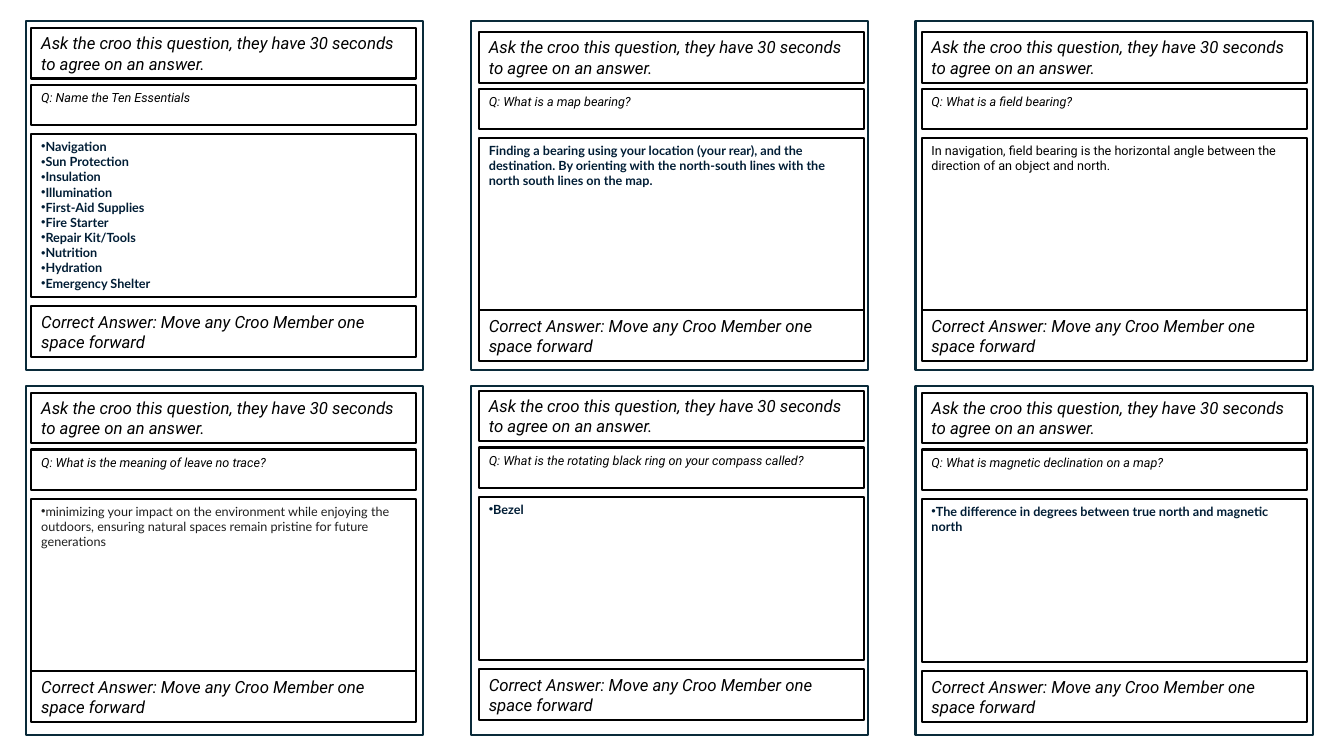
from pptx import Presentation
from pptx.dml.color import RGBColor
from pptx.enum.shapes import MSO_SHAPE
from pptx.enum.text import MSO_ANCHOR, PP_ALIGN
from pptx.oxml.ns import qn
from pptx.util import Inches, Pt
from lxml import etree

RECT = MSO_SHAPE.RECTANGLE
TOP = MSO_ANCHOR.TOP
LEFT = PP_ALIGN.LEFT

BLACK, WHITE, TEAL, NAVY, CHARCOAL = "000000", "FFFFFF", "092A39", "001D35", "1F1F1F"
PROMPT = "Ask the croo this question, they have 30 seconds to agree on an answer."
REWARD = "Correct Answer: Move any Croo Member one space forward"
ITALIC = {"font": "Roboto", "color": BLACK, "italic": True}
BOLD = {"font": "Lato", "color": NAVY, "bold": True}
PLAIN = {"font": "Roboto", "color": BLACK}
SOFT = {"font": "Lato", "color": CHARCOAL}

FRAME_LEFT, FRAME_TOP = 0.26, 0.21
COLUMN_STEP, ROW_STEP = 4.41, 3.62
CONTENT_LEFTS = [0.31, 4.75, 9.14]
SHORT, TALL = 1.62, 1.77

ESSENTIALS = ["Navigation", "Sun Protection", "Insulation", "Illumination",
              "First-Aid Supplies", "Fire Starter", "Repair Kit/Tools",
              "Nutrition", "Hydration", "Emergency Shelter"]
MAP_BEARING = ("Finding a bearing using your location (your rear), and the destination. "
               "By orienting with the north-south lines with the north south lines on the map.")
FIELD_BEARING = ("In navigation, field bearing is the horizontal angle between "
                 "the direction of an object and north.")
NO_TRACE = ("minimizing your impact on the environment while enjoying the outdoors, "
            "ensuring natural spaces remain pristine for future generations")
DECLINATION = "The difference in degrees between true north and magnetic north"

CARDS = [
    (0.28, "Q: Name the Ten Essentials", ESSENTIALS, BOLD, True, SHORT),
    (0.32, "Q: What is a map bearing?", [MAP_BEARING], BOLD, False, TALL),
    (0.32, "Q: What is a field bearing?", [FIELD_BEARING], PLAIN, False, TALL),
    (3.9, "Q: What is the meaning of leave no trace?", [NO_TRACE], SOFT, True, TALL),
    (3.88, "Q: What is the rotating black ring on your compass called?",
     ["Bezel"], BOLD, True, SHORT),
    (3.9, "Q: What is magnetic declination on a map?", [DECLINATION], BOLD, True, SHORT),
]


def rgb(value):
    return RGBColor.from_string(value)


class CardSheet:
    def __init__(self, slide):
        self.slide = slide

    def rect(self, shapes, x, y, w, h, line):
        sp = shapes.add_shape(RECT, Inches(x), Inches(y), Inches(w), Inches(h))
        sp.shadow.inherit = False
        sp.line.color.rgb = rgb(line)
        sp.line.width = Pt(1.5)
        return sp

    def frame(self, column, row):
        sp = self.rect(self.slide.shapes, FRAME_LEFT + column * COLUMN_STEP,
                       FRAME_TOP + row * ROW_STEP, 3.94, 3.46, TEAL)
        sp.fill.background()

    def box(self, group, x, y, h, lines, size, style, bullet=False):
        sp = self.rect(group.shapes, x, y, 3.82, h, BLACK)
        sp.fill.solid()
        sp.fill.fore_color.rgb = rgb(WHITE)
        tf = sp.text_frame
        tf.word_wrap = True
        tf.vertical_anchor = TOP
        for i, text in enumerate(lines):
            p = tf.add_paragraph() if i else tf.paragraphs[0]
            p.alignment = LEFT
            if bullet:
                self.bullet(p)
            r = p.add_run()
            r.text = text
            r.font.size = Pt(size)
            r.font.name = style["font"]
            r.font.color.rgb = rgb(style["color"])
            r.font.bold = style.get("bold", False)
            r.font.italic = style.get("italic", False)

    def bullet(self, p):
        props = p._p.get_or_add_pPr()
        props.set("marL", "0")
        props.set("indent", "0")
        etree.SubElement(props, qn("a:buFont")).set("typeface", "Arial")
        etree.SubElement(props, qn("a:buChar")).set("char", "•")

    def card(self, x, y, question, answer, style, bullet, height):
        group = self.slide.shapes.add_group_shape()
        self.box(group, x, y, 0.5, [PROMPT], 12, ITALIC)
        self.box(group, x, y + 0.56, 0.4, [question], 9, ITALIC)
        self.box(group, x, y + 1.05, height, answer, 9, style, bullet)
        self.box(group, x, y + 2.76, 0.5, [REWARD], 12, ITALIC)


def main():
    prs = Presentation()
    prs.slide_width = Inches(13.33)
    prs.slide_height = Inches(7.5)
    s = prs.slides.add_slide(prs.slide_layouts[6])
    sheet = CardSheet(s)
    for i in range(len(CARDS)):
        sheet.frame(i % 3, i // 3)
    for i, (top, *content) in enumerate(CARDS):
        sheet.card(CONTENT_LEFTS[i % 3], top, *content)
    prs.save("out.pptx")


if __name__ == "__main__":
    main()
